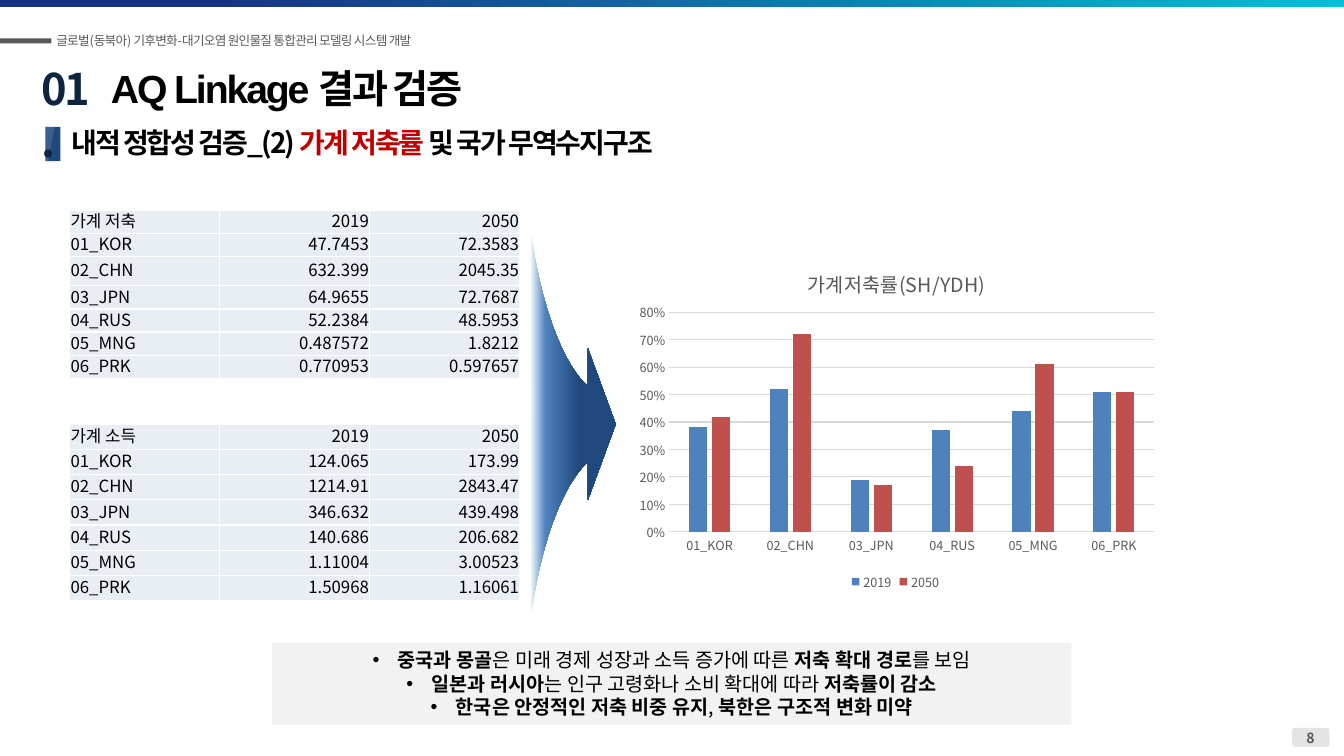
from pptx import Presentation
from pptx.chart.data import CategoryChartData
from pptx.dml.color import RGBColor
from pptx.enum.chart import XL_CHART_TYPE, XL_LEGEND_POSITION, XL_TICK_MARK
from pptx.enum.shapes import MSO_SHAPE
from pptx.enum.text import MSO_ANCHOR, MSO_AUTO_SIZE, PP_ALIGN
from pptx.oxml import parse_xml
from pptx.oxml.ns import nsdecls, qn
from pptx.util import Emu, Inches, Pt
from lxml.etree import SubElement

COLUMNS, ROWS, CELL = 160, 90, Inches(1) // 12
SANS = "Noto Sans CJK KR"
GRAY, BLACK, NAVY, RED, PALE = "595959", "000000", "1F497D", "C00000", "D9D9D9"
color = RGBColor.from_string


def span(*cells):
    return [Emu(round(cell * CELL)) for cell in cells]


def add_run(paragraph, text, size, hue=BLACK, bold=False, spacing=0, latin=SANS):
    paragraph.line_spacing = Pt(size * 1.2)
    run = paragraph.add_run()
    run.text = text
    run.font.size = Pt(size)
    run.font.bold = bold
    run.font.name = latin
    run.font.color.rgb = color(hue)
    properties = run.font._element
    properties.set("spc", str(round(spacing * 100)))
    properties.find(qn("a:latin")).addnext(
        parse_xml(f'<a:ea {nsdecls("a")} typeface="{SANS}"/>'))


deck = Presentation()
deck.slide_width, deck.slide_height = span(COLUMNS, ROWS)
slide = deck.slides.add_slide(deck.slide_layouts[1])
shapes = slide.shapes

top_band = shapes.add_shape(MSO_SHAPE.RECTANGLE, *span(0, 0, COLUMNS, 0.84))
page_badge = shapes.add_shape(MSO_SHAPE.ROUNDED_RECTANGLE, *span(153.84, 86.64, 4.44, 2.28))
page_badge.adjustments[0] = 0.16
header_dash = shapes.add_shape(MSO_SHAPE.RECTANGLE, *span(0, 4.56, 6.12, 0.6))
marker = shapes.add_shape(MSO_SHAPE.RECTANGLE, *span(5.4, 15.12, 1.8, 4.08))
outline = shapes.build_freeform(*span(5.4, 15.12), scale=1)
outline.add_line_segments([span(6.48, 15.12), span(5.76, 19.2), span(5.4, 19.2)])
gloss = outline.convert_to_shape()

axis_row, tail, neck, tip = 50.5, 63.24, 70, 73.3
curve = []
for step in range(17):
    t = step / 16
    weights = ((1 - t) ** 3, 3 * t * (1 - t) ** 2, 3 * t * t * (1 - t) + t ** 3)
    x = sum(w * p for w, p in zip(weights, (tail, 65.4, neck)))
    y = sum(w * p for w, p in zip(weights, (22.5, 7.8, 4.5)))
    curve.append((x, y))
lower = curve + [(neck, 9)]
edge = [span(x, axis_row + y) for x, y in lower] + [span(tip, axis_row)]
edge += [span(x, axis_row - y) for x, y in reversed(lower)]
outline = shapes.build_freeform(*edge[0], scale=1)
outline.add_line_segments(edge[1:])
arrow = outline.convert_to_shape()

for part, hue in ((page_badge, "E4E4E4"), (header_dash, GRAY), (marker, NAVY), (gloss, "FFFFFF")):
    part.fill.solid()
    part.fill.fore_color.rgb = color(hue)
gloss_color = gloss._element.spPr.find(qn("a:solidFill"))[0]
SubElement(gloss_color, qn("a:alpha"), val="12000")

for part, stops in (
    (top_band, ((16, "193282"), (100, "00C0DA"))),
    (arrow, ((0, "E8F5FA"), (17, "4F81BD"), (57, NAVY))),
):
    part.fill.gradient()
    part.fill.gradient_angle = 0
    stop_list = part._element.spPr.find(qn("a:gradFill")).find(qn("a:gsLst"))
    for old in list(stop_list):
        stop_list.remove(old)
    for position, hue in stops:
        stop = SubElement(stop_list, qn("a:gs"), pos=str(position * 1000))
        SubElement(stop, qn("a:srgbClr"), val=hue)

for part in (top_band, page_badge, header_dash, marker, gloss, arrow):
    part.line.fill.background()
    part.shadow.inherit = False

title = shapes.title
title.left, title.top, title.width, title.height = span(12, 7.1, 97.9, 6.5)
title.text_frame.vertical_anchor = MSO_ANCHOR.TOP
title.text_frame.auto_size = MSO_AUTO_SIZE.NONE
heading = title.text_frame.paragraphs[0]
heading.alignment = PP_ALIGN.LEFT
add_run(heading, "AQ Linkage 결과 검증", 28, BLACK, True, -1.5, "Arial")

labels = [
    ((5.52, 3.36, 49.3, 3), False, PP_ALIGN.LEFT, MSO_ANCHOR.TOP,
     [("글로벌(동북아) 기후변화-대기오염 원인물질 통합관리 모델링 시스템 개발", 9, GRAY, False, -0.5)]),
    ((152, 86.28, 8, 3.24), True, PP_ALIGN.CENTER, MSO_ANCHOR.TOP, [("8", 10, GRAY, True)]),
    ((3.72, 6.8, 9.24, 7.4), False, PP_ALIGN.LEFT, MSO_ANCHOR.TOP,
     [("01.", 31, "0F243E", True, -1.3)]),
    ((7.32, 14.28, 127.8, 5.28), True, PP_ALIGN.LEFT, MSO_ANCHOR.MIDDLE,
     [("내적 정합성 검증_(2) ", 20, BLACK, True, -1.5),
      ("가계 저축률 ", 20, RED, True, -1.5),
      ("및 국가 무역수지구조", 20, BLACK, True, -1.5)]),
]
for area, wrap, alignment, anchor, runs in labels:
    frame = shapes.add_textbox(*span(*area)).text_frame
    frame.word_wrap = wrap
    frame.vertical_anchor = anchor
    frame.paragraphs[0].alignment = alignment
    for run in runs:
        add_run(frame.paragraphs[0], *run)

years = ("2019", "2050")
countries = ("01_KOR", "02_CHN", "03_JPN", "04_RUS", "05_MNG", "06_PRK")
savings = (("47.7453", "72.3583"), ("632.399", "2045.35"), ("64.9655", "72.7687"),
           ("52.2384", "48.5953"), ("0.487572", "1.8212"), ("0.770953", "0.597657"))
income = (("124.065", "173.99"), ("1214.91", "2843.47"), ("346.632", "439.498"),
          ("140.686", "206.682"), ("1.11004", "3.00523"), ("1.50968", "1.16061"))
for name, amounts, top, heights in (
    ("가계 저축", savings, 25, [2.76, 2.76, 3.5] + [2.76] * 4),
    ("가계 소득", income, 50.5, [3] * 7),
):
    table = shapes.add_table(7, 3, *span(8.28, top, 53.64, sum(heights))).table
    table.first_row = table.horz_banding = False
    for column in table.columns:
        column.width = span(17.88)[0]
    records = [(name, *years)] + [(c, *pair) for c, pair in zip(countries, amounts)]
    for r, record in enumerate(records):
        table.rows[r].height = span(heights[r])[0]
        for c, value in enumerate(record):
            cell = table.cell(r, c)
            cell.vertical_anchor = MSO_ANCHOR.MIDDLE
            cell.margin_left = cell.margin_right = cell.margin_top = Inches(0.01)
            cell.margin_bottom = 0
            borders = cell._tc.get_or_add_tcPr()
            for side in ("lnL", "lnR", "lnT", "lnB"):
                border = SubElement(borders, qn(f"a:{side}"), w=str(Pt(1)))
                SubElement(SubElement(border, qn("a:solidFill")), qn("a:srgbClr"), val="FFFFFF")
            cell.fill.solid()
            cell.fill.fore_color.rgb = color("E9EDF4")
            entry = cell.text_frame.paragraphs[0]
            entry.alignment = PP_ALIGN.RIGHT if c else PP_ALIGN.LEFT
            add_run(entry, value, 12)

rates = CategoryChartData(number_format="0%")
rates.categories = countries
for i, year in enumerate(years):
    rates.add_series(year, [round(float(s[i]) / float(y[i]), 2) for s, y in zip(savings, income)])
chart = shapes.add_chart(
    XL_CHART_TYPE.COLUMN_CLUSTERED, *span(74.52, 29.28, 64.2, 41.52), rates).chart
chart.font.name = SANS
chart.font.size = Pt(10)
chart.has_title = True
add_run(chart.chart_title.text_frame.paragraphs[0], "가계저축률(SH/YDH)", 14, GRAY)
chart.has_legend = True
chart.legend.position = XL_LEGEND_POSITION.BOTTOM
chart.legend.include_in_layout = False
plot = chart.plots[0]
plot.gap_width, plot.overlap, plot.vary_by_categories = 219, -27, False
for series, hue in zip(plot.series, ("4F81BD", "C0504D")):
    series.format.fill.solid()
    series.format.fill.fore_color.rgb = color(hue)
countries_axis, rate_axis = chart.category_axis, chart.value_axis
for part in (countries_axis.tick_labels, rate_axis.tick_labels, chart.legend):
    part.font.name = SANS
    part.font.size = Pt(9)
    part.font.color.rgb = color(GRAY)
for axis in (countries_axis, rate_axis):
    axis.major_tick_mark = axis.minor_tick_mark = XL_TICK_MARK.NONE
for line in (countries_axis.format.line, rate_axis.major_gridlines.format.line):
    line.color.rgb = color(PALE)
    line.width = Pt(0.75)
rate_axis.format.line.fill.background()
rate_axis.minimum_scale, rate_axis.maximum_scale, rate_axis.major_unit = 0, 0.8, 0.1
rate_axis.tick_labels.number_format = "0%"
rate_axis.tick_labels.number_format_is_linked = False
plot_area = chart._chartSpace.chart.plotArea
for host, index, settings in (
    (plot_area, 0, dict(layoutTarget="inner", xMode="edge", yMode="edge",
                        x=0.08, y=0.19, w=0.9, h=0.63)),
    (chart.chart_title._element, 1, dict(xMode="edge", yMode="edge", x=0.33, y=0.05)),
):
    for old in host.findall(qn("c:layout")):
        host.remove(old)
    layout = parse_xml(f'<c:layout {nsdecls("c")}/>')
    manual = SubElement(layout, qn("c:manualLayout"))
    for key, value in settings.items():
        SubElement(manual, qn(f"c:{key}"), val=str(value))
    host.insert(index, layout)

findings = slide.placeholders[1]
findings.left, findings.top, findings.width, findings.height = span(32.4, 76.56, 95.16, 9.72)
findings.fill.solid()
findings.fill.fore_color.rgb = color("F2F2F2")
frame = findings.text_frame
frame.auto_size = MSO_AUTO_SIZE.NONE
frame.vertical_anchor = MSO_ANCHOR.TOP
for i, finding in enumerate((
    (("중국과 몽골", True), ("은 미래 경제 성장과 소득 증가에 따른 ", False),
     ("저축 확대 경로", True), ("를 보임", False)),
    (("일본과 러시아", True), ("는 인구 고령화나 소비 확대에 따라 ", False),
     ("저축률이 감소", True)),
    (("한국은 안정적인 저축 비중 유지", True), (", ", False), ("북한은 구조적 변화 미약", True)),
)):
    paragraph = frame.add_paragraph() if i else frame.paragraphs[0]
    properties = paragraph._p.get_or_add_pPr()
    properties.set("marL", str(Inches(0.25)))
    properties.set("indent", str(-Inches(0.25)))
    SubElement(properties, qn("a:buFont"), typeface="Arial")
    SubElement(properties, qn("a:buChar"), char="•")
    paragraph.alignment = PP_ALIGN.CENTER
    paragraph.space_before = Pt(0)
    for text, bold in finding:
        add_run(paragraph, text, 14, BLACK, bold)

deck.save("out.pptx")
